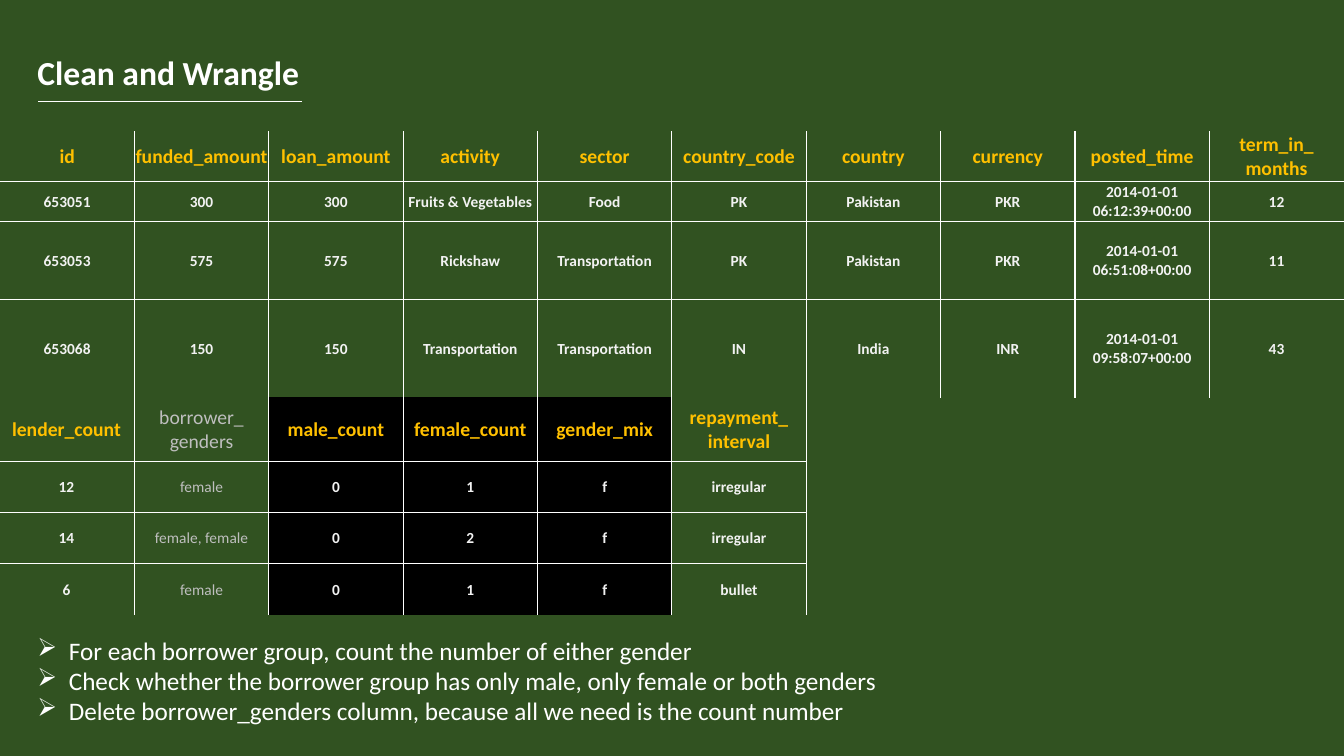
from dataclasses import dataclass

from lxml import etree
from pptx import Presentation
from pptx.dml.color import RGBColor
from pptx.enum.shapes import MSO_CONNECTOR, MSO_SHAPE
from pptx.enum.text import MSO_ANCHOR, MSO_AUTO_SIZE, PP_ALIGN
from pptx.oxml.ns import qn
from pptx.slide import Slide
from pptx.table import _Cell
from pptx.text.text import TextFrame, _Paragraph
from pptx.util import Pt

RECTANGLE = MSO_SHAPE.RECTANGLE
STRAIGHT = MSO_CONNECTOR.STRAIGHT
MIDDLE = MSO_ANCHOR.MIDDLE
CENTER = PP_ALIGN.CENTER
GROW = MSO_AUTO_SIZE.SHAPE_TO_FIT_TEXT

GREEN = RGBColor(0x64, 0xA5, 0x44)
BLACK = RGBColor(0x00, 0x00, 0x00)
WHITE = RGBColor(0xFF, 0xFF, 0xFF)
GOLD = RGBColor(0xFF, 0xC0, 0x00)
PALE = RGBColor(0xF2, 0xF2, 0xF2)
GREY = RGBColor(0xBF, 0xBF, 0xBF)

FONT = "Calibri"
SLIDE_WIDTH, SLIDE_HEIGHT = 960, 540
COLUMN_WIDTH = 96
CELL_INSET = 0.7
BULLET_INDENT = 22.5


@dataclass(frozen=True)
class LoanTable:
    left: float
    top: float
    first_column: float
    row_heights: tuple[float, ...]
    rows: tuple[tuple[str, ...], ...]
    right_edge: bool = False
    dropped: tuple[int, ...] = ()
    added: tuple[int, ...] = ()


@dataclass(frozen=True)
class TextBlock:
    left: float
    top: float
    width: float
    height: float
    lines: tuple[str, ...]
    size: float
    bold: bool = False
    bullet: str = ""


LOANS = LoanTable(
    0, 93.6, COLUMN_WIDTH, (36, 28.5, 56, 70),
    (
        ("id", "funded_amount", "loan_amount", "activity", "sector", "country_code",
         "country", "currency", "posted_time", "term_in_\nmonths"),
        ("653051", "300", "300", "Fruits & Vegetables", "Food", "PK",
         "Pakistan", "PKR", "2014-01-01 06:12:39+00:00", "12"),
        ("653053", "575", "575", "Rickshaw", "Transportation", "PK",
         "Pakistan", "PKR", "2014-01-01 06:51:08+00:00", "11"),
        ("653068", "150", "150", "Transportation", "Transportation", "IN",
         "India", "INR", "2014-01-01 09:58:07+00:00", "43"),
    ),
)
BORROWERS = LoanTable(
    -1, 283.6, COLUMN_WIDTH + 1, (45.8, 36.7, 36.7, 36.7),
    (
        ("lender_count", "borrower_\ngenders", "male_count", "female_count",
         "gender_mix", "repayment_\ninterval"),
        ("12", "female", "0", "1", "f", "irregular"),
        ("14", "female, female", "0", "2", "f", "irregular"),
        ("6", "female", "0", "1", "f", "bullet"),
    ),
    right_edge=True, dropped=(1,), added=(2, 3, 4),
)
STEPS = TextBlock(
    19.6, 450, 727, 72.7,
    (
        "For each borrower group, count the number of either gender",
        "Check whether the borrower group has only male, only female or both genders",
        "Delete borrower_genders column, because all we need is the count number",
    ),
    18, bullet="➢",
)
TITLE = TextBlock(19.6, 33.8, 217, 36.3, ("Clean and Wrangle",), 24, bold=True)


def add_background(slide: Slide, color: RGBColor, opacity: int = 100) -> None:
    panel = slide.shapes.add_shape(RECTANGLE, 0, 0, Pt(SLIDE_WIDTH), Pt(SLIDE_HEIGHT))
    panel.shadow.inherit = False
    panel.line.fill.background()
    panel.fill.solid()
    panel.fill.fore_color.rgb = color
    if opacity < 100:
        tint = panel.fill._xPr.find(".//" + qn("a:srgbClr"))
        etree.SubElement(tint, qn("a:alpha"), val=str(opacity * 1000))


def add_run(paragraph: _Paragraph, text: str, size: float, color: RGBColor, bold: bool) -> None:
    run = paragraph.add_run()
    run.text = text
    run.font.name = FONT
    run.font.size = Pt(size)
    run.font.bold = bold
    run.font.color.rgb = color


def write_lines(frame: TextFrame, lines: tuple[str, ...], size: float,
                color: RGBColor, bold: bool) -> None:
    for number, line in enumerate(lines):
        paragraph = frame.add_paragraph() if number else frame.paragraphs[0]
        add_run(paragraph, line, size, color, bold)


def set_borders(cell: _Cell, visible: dict[str, bool]) -> None:
    properties = cell._tc.get_or_add_tcPr()
    for side, shown in visible.items():
        border = etree.SubElement(properties, qn(f"a:ln{side}"), w=str(Pt(1)))
        if shown:
            paint = etree.SubElement(border, qn("a:solidFill"))
            etree.SubElement(paint, qn("a:srgbClr"), val=str(WHITE))
        else:
            etree.SubElement(border, qn("a:noFill"))


def add_loan_table(slide: Slide, spec_table: LoanTable) -> None:
    row_count, column_count = len(spec_table.rows), len(spec_table.rows[0])
    width = spec_table.first_column + COLUMN_WIDTH * (column_count - 1)
    table = slide.shapes.add_table(
        row_count, column_count, Pt(spec_table.left), Pt(spec_table.top),
        Pt(width), Pt(sum(spec_table.row_heights))).table
    table.first_row = table.horz_banding = False
    for c, column in enumerate(table.columns):
        column.width = Pt(COLUMN_WIDTH if c else spec_table.first_column)
    for r, values in enumerate(spec_table.rows):
        table.rows[r].height = Pt(spec_table.row_heights[r])
        for c, value in enumerate(values):
            cell = table.cell(r, c)
            cell.vertical_anchor = MIDDLE
            cell.margin_left = cell.margin_right = cell.margin_top = Pt(CELL_INSET)
            cell.margin_bottom = 0
            # Rules run between cells, with an optional one down the right edge
            set_borders(cell, {
                "L": c > 0,
                "R": c < column_count - 1 or spec_table.right_edge,
                "T": r > 0,
                "B": r < row_count - 1,
            })
            if c in spec_table.added:
                cell.fill.solid()
                cell.fill.fore_color.rgb = BLACK
            else:
                cell.fill.background()
            is_dropped = c in spec_table.dropped
            color = GREY if is_dropped else PALE if r else GOLD
            write_lines(cell.text_frame, tuple(value.split("\n")),
                        11 if r else 14, color, not is_dropped)
            for paragraph in cell.text_frame.paragraphs:
                paragraph.alignment = CENTER


def add_text_block(slide: Slide, block: TextBlock) -> None:
    frame = slide.shapes.add_textbox(
        Pt(block.left), Pt(block.top), Pt(block.width), Pt(block.height)).text_frame
    frame.word_wrap = True
    frame.auto_size = GROW
    write_lines(frame, block.lines, block.size, WHITE, block.bold)
    if block.bullet:
        for paragraph in frame.paragraphs:
            properties = paragraph._p.get_or_add_pPr()
            properties.set("marL", str(Pt(BULLET_INDENT)))
            properties.set("indent", str(-Pt(BULLET_INDENT)))
            etree.SubElement(properties, qn("a:buChar"), char=block.bullet)


def add_title_rule(slide: Slide) -> None:
    rule = slide.shapes.add_connector(STRAIGHT, Pt(27.4), Pt(72.7), Pt(216), Pt(72.7))
    rule.line.color.rgb = WHITE
    rule.line.width = Pt(1)
    etree.SubElement(rule._element.spPr, qn("a:effectLst"))


def main() -> None:
    deck = Presentation()
    deck.slide_width, deck.slide_height = Pt(SLIDE_WIDTH), Pt(SLIDE_HEIGHT)
    slide = deck.slides.add_slide(deck.slide_layouts[6])

    # Green backdrop under a half-transparent black veil
    add_background(slide, GREEN)
    add_background(slide, BLACK, opacity=50)

    # Data samples
    for sample in (LOANS, BORROWERS):
        add_loan_table(slide, sample)

    # Cleaning steps and title
    for block in (STEPS, TITLE):
        add_text_block(slide, block)
    add_title_rule(slide)

    deck.save("out.pptx")


if __name__ == "__main__":
    main()
